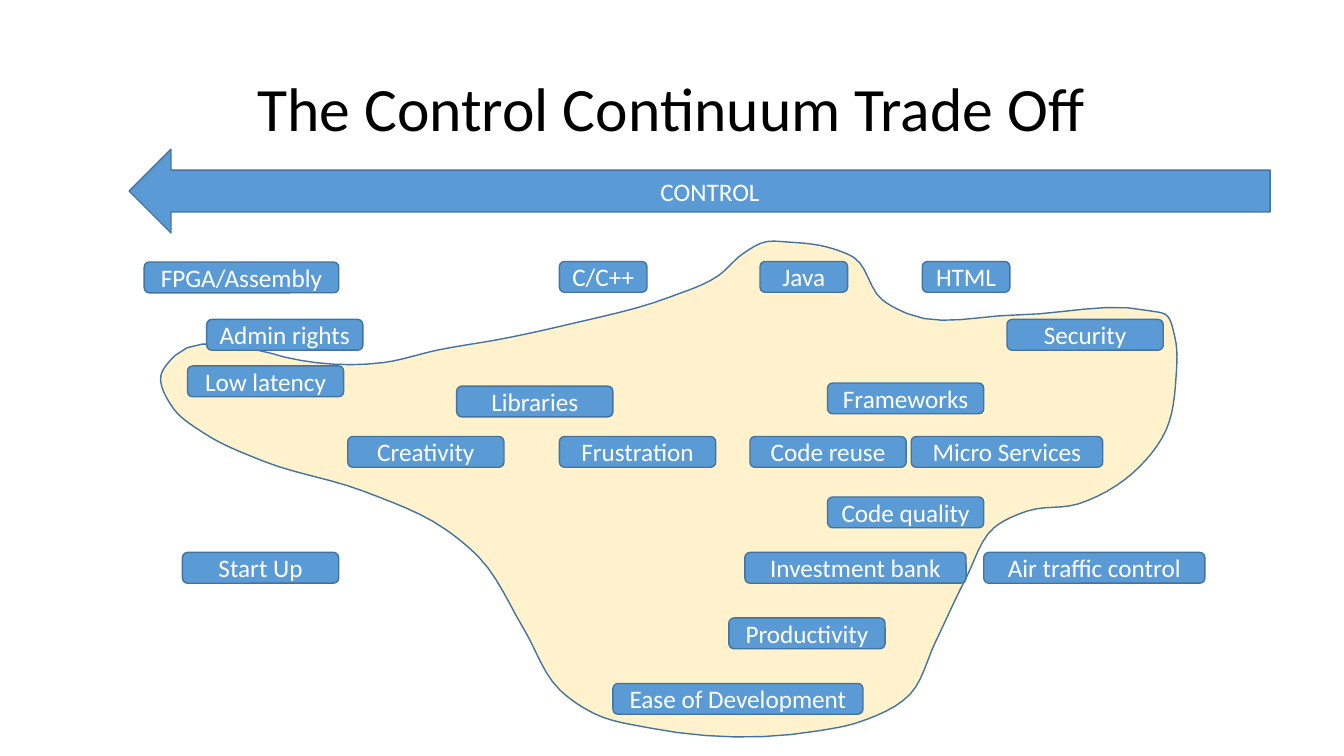
from dataclasses import dataclass

from pptx import Presentation
from pptx.dml.color import RGBColor
from pptx.enum.shapes import MSO_SHAPE
from pptx.enum.text import MSO_ANCHOR, MSO_AUTO_SIZE, PP_ALIGN
from pptx.util import Pt


@dataclass(frozen=True)
class Theme:
    font: str = "Calibri"
    title_size: float = 44
    label_size: float = 18
    line_width: float = 1
    title: RGBColor = RGBColor(0x00, 0x00, 0x00)
    label: RGBColor = RGBColor(0xFF, 0xFF, 0xFF)
    box: RGBColor = RGBColor(0x5B, 0x9B, 0xD5)
    region: RGBColor = RGBColor(0xFF, 0xF2, 0xCC)
    line: RGBColor = RGBColor(0x43, 0x73, 0x9E)


THEME = Theme()
TOPIC_HEIGHT = 22
NARROW, MEDIUM, WIDE = 62.6, 111.6, 158

TOPIC_ROWS = [
    (186.8, NARROW, {"C/C++": 399.6, "Java": 542.9, "HTML": 658.8}),
    (187.2, 139, {"FPGA/Assembly": 103}),
    (228.2, MEDIUM, {"Admin rights": 147.6, "Security": 719.3}),
    (261.4, MEDIUM, {"Low latency": 133.9}),
    (273.6, MEDIUM, {"Frameworks": 591.1}),
    (275.8, MEDIUM, {"Libraries": 326.2}),
    (311.8, MEDIUM, {"Creativity": 248.4, "Frustration": 399.6, "Code reuse": 535.7}),
    (311.8, 136.8, {"Micro Services": 650.9}),
    (355, MEDIUM, {"Code quality": 591.1}),
    (394.6, MEDIUM, {"Start Up": 130.3}),
    (394.6, WIDE, {"Investment bank": 532.1, "Air traffic control": 702.7}),
    (441.4, MEDIUM, {"Productivity": 520.6}),
    (488.2, 178.6, {"Ease of Development": 437.8}),
]

CURVE_STEPS = 6
REGION_POINTS = [
    (546, 173), (531, 181), (513, 197), (479, 212), (405, 232), (359, 242),
    (313, 250), (274, 259), (203, 255), (192, 252), (125, 254), (115, 268),
    (124, 292), (145, 309), (187, 329), (260, 351), (318, 378), (342, 398),
    (374, 449), (400, 493), (425, 510), (464, 520), (585, 522), (613, 516),
    (650, 496), (668, 459), (690, 413), (710, 377), (734, 365), (770, 360),
    (809, 338), (833, 307), (840, 270), (839, 240), (833, 225), (821, 222),
    (726, 225), (648, 224), (630, 214), (610, 184), (596, 178), (564, 173),
]


def set_attributes(target, values):
    for name, value in values.items():
        setattr(target, name, value)


def place(shape, left, top, width, height):
    bounds = {"left": left, "top": top, "width": width, "height": height}
    set_attributes(shape, {name: Pt(value) for name, value in bounds.items()})


def paint(shape, color):
    shape.shadow.inherit = False
    shape.fill.solid()
    shape.fill.fore_color.rgb = color
    shape.line.color.rgb = THEME.line
    shape.line.width = Pt(THEME.line_width)


def write_text(shape, text, size, color, frame_format, line_spacing=1.0):
    frame = shape.text_frame
    set_attributes(frame, {"text": text, "word_wrap": True, **frame_format})
    paragraph = frame.paragraphs[0]
    set_attributes(paragraph, {"alignment": PP_ALIGN.CENTER, "line_spacing": line_spacing})
    font = paragraph.runs[0].font
    set_attributes(font, {"name": THEME.font, "size": Pt(size)})
    font.color.rgb = color


def add_title(slide, text):
    title = slide.shapes.title
    place(title, 32.4, 46.8, 894.2, 60.5)
    sides = ("left", "top", "right", "bottom")
    frame_format = {f"margin_{side}": Pt(9.4) for side in sides}
    frame_format["vertical_anchor"] = MSO_ANCHOR.TOP
    frame_format["auto_size"] = MSO_AUTO_SIZE.NONE
    write_text(title, text, THEME.title_size, THEME.title, frame_format, 0.9)


def distance(first, second):
    return sum((a - b) ** 2 for a, b in zip(first, second)) ** 0.5


def tangent(points, index):
    before, here, after = (points[(index + step) % len(points)] for step in (-1, 0, 1))
    back, ahead = distance(before, here), distance(here, after)
    return [((h - b) / back * ahead + (a - h) / ahead * back) / (back + ahead)
            for b, h, a in zip(before, here, after)]


def smooth_outline(points):
    outline = []
    for index, start in enumerate(points):
        following = (index + 1) % len(points)
        end = points[following]
        span = distance(start, end)
        slopes = tangent(points, index), tangent(points, following)
        for step in range(CURVE_STEPS):
            t = step / CURVE_STEPS
            blend = t * t * (3 - 2 * t)
            outline.append([
                a + (b - a) * blend + span * t * (1 - t) * ((1 - t) * leave - t * arrive)
                for a, b, leave, arrive in zip(start, end, *slopes)
            ])
    return outline


def add_region(slide):
    outline = [[Pt(value) for value in point] for point in smooth_outline(REGION_POINTS)]
    builder = slide.shapes.build_freeform(*outline[0])
    builder.add_line_segments(outline[1:], close=True)
    paint(builder.convert_to_shape(), THEME.region)


def add_label(slide, kind, text, left, top, width, height):
    bounds = [Pt(value) for value in (left, top, width, height)]
    shape = slide.shapes.add_shape(kind, *bounds)
    paint(shape, THEME.box)
    write_text(shape, text, THEME.label_size, THEME.label,
               {"vertical_anchor": MSO_ANCHOR.MIDDLE})


def main():
    presentation = Presentation()
    set_attributes(presentation, {"slide_width": Pt(960), "slide_height": Pt(540)})
    slide = presentation.slides.add_slide(presentation.slide_layouts.get_by_name("Title Only"))
    add_title(slide, "The Control Continuum Trade Off")
    add_region(slide)
    for top, width, topics in TOPIC_ROWS:
        for text, left in topics.items():
            add_label(slide, MSO_SHAPE.ROUNDED_RECTANGLE, text, left, top, width, TOPIC_HEIGHT)
    add_label(slide, MSO_SHAPE.LEFT_ARROW, "CONTROL", 92.2, 106.6, 815, 59.8)
    presentation.save("out.pptx")


if __name__ == "__main__":
    main()
